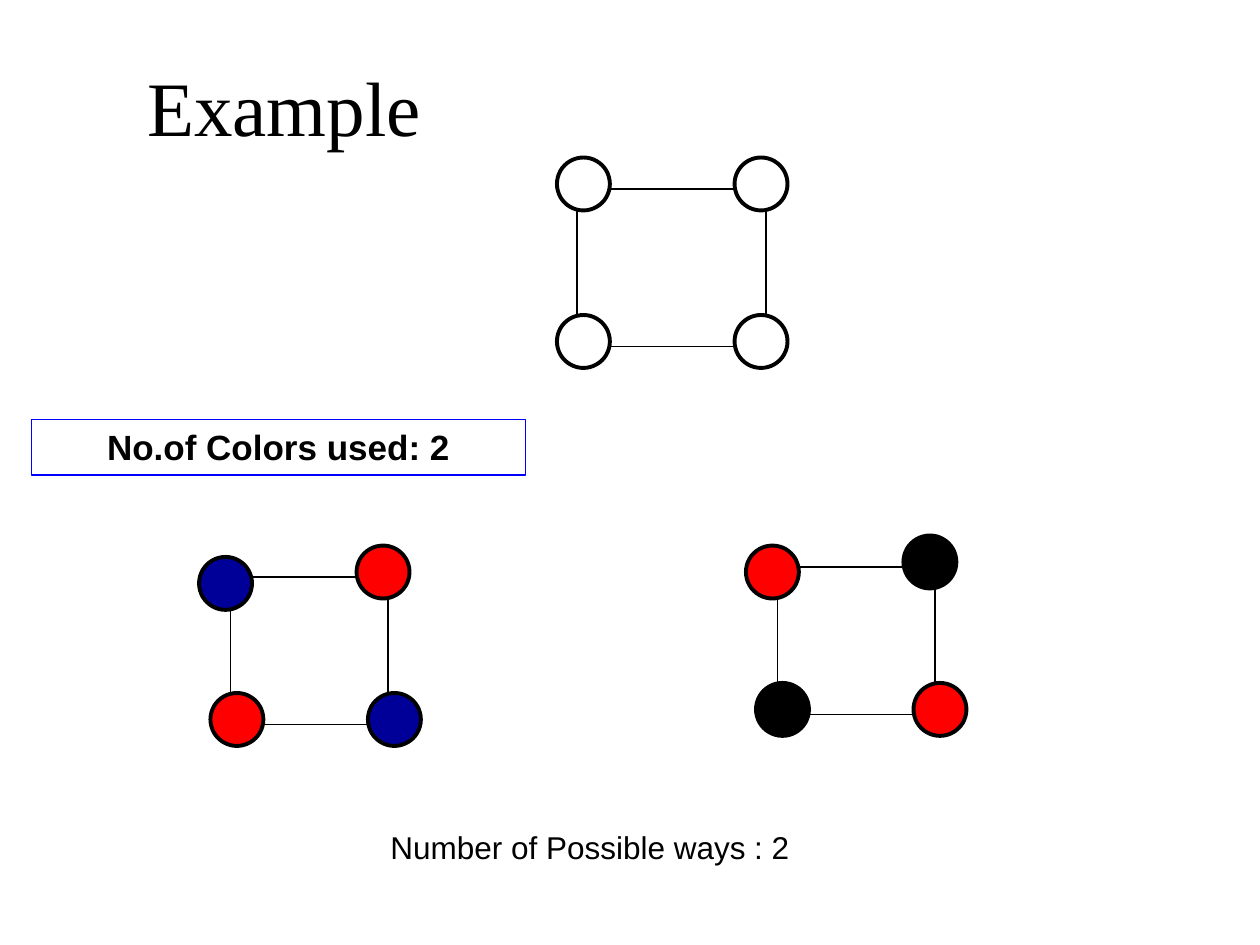
from lxml import etree
from pptx import Presentation
from pptx.dml.color import RGBColor
from pptx.enum.shapes import MSO_CONNECTOR, MSO_SHAPE
from pptx.enum.text import MSO_ANCHOR, MSO_AUTO_SIZE, PP_ALIGN
from pptx.oxml.ns import qn
from pptx.util import Inches, Pt

STRAIGHT = MSO_CONNECTOR.STRAIGHT
OVAL, RECT = MSO_SHAPE.OVAL, MSO_SHAPE.RECTANGLE
MIDDLE, TOP = MSO_ANCHOR.MIDDLE, MSO_ANCHOR.TOP
CENTER, LEFT = PP_ALIGN.CENTER, PP_ALIGN.LEFT
GROW = MSO_AUTO_SIZE.SHAPE_TO_FIT_TEXT
HEX = {"white": "FFFFFF", "black": "000000", "red": "FF0000",
       "navy": "000099", "blue": "0000FF"}
COLOR = {name: RGBColor.from_string(code) for name, code in HEX.items()}
SIZE = 0.42
INSET = 0.25


def write(shape, text, face, size, align, anchor, bold=False):
    frame = shape.text_frame
    frame.text = text
    frame.word_wrap = True
    frame.vertical_anchor = anchor
    para = frame.paragraphs[0]
    para.alignment = align
    font = para.runs[0].font
    font.name, font.size, font.bold = face, Pt(size), bold
    font.color.rgb = COLOR["black"]


prs = Presentation()
prs.slide_width, prs.slide_height = Inches(10), Inches(7.5)
slide = prs.slides.add_slide(prs.slide_layouts[5])

title = slide.shapes.title
title.left, title.top = Inches(-1.58), Inches(0)
title.width, title.height = Inches(7.67), Inches(1.67)
write(title, "Example", "Times New Roman", 44, CENTER, MIDDLE)

# Corners run clockwise from top left; the last value is the left edge's x.
graphs = [
    ([(4.42, 1.25), (5.83, 1.25), (5.83, 2.5), (4.42, 2.5)],
     ["white", "white"], 4.58),
    ([(1.58, 4.42), (2.83, 4.33), (2.92, 5.5), (1.67, 5.5)],
     ["navy", "red"], 1.83),
    ([(5.92, 4.33), (7.17, 4.25), (7.25, 5.42), (6, 5.42)],
     ["red", "black"], 6.17),
]
for nodes, fills, side in graphs:
    group = slide.shapes.add_group_shape()
    for i, (x, y) in enumerate(nodes):
        node = group.shapes.add_shape(
            OVAL, Inches(x), Inches(y), Inches(SIZE), Inches(SIZE))
        node.shadow.inherit = False
        node.fill.solid()
        node.fill.fore_color.rgb = COLOR[fills[i % 2]]
        node.line.color.rgb = COLOR["black"]
        node.line.width = Pt(2.25)

    (ax, ay), (bx, by), (cx, cy), (dx, dy) = nodes
    top, right, base = by + INSET, bx + INSET, dy + INSET
    edges = [(ax + SIZE, top, bx, top), (right, by + SIZE, right, cy),
             (dx + SIZE, base, cx, base), (side, ay + SIZE, side, dy)]
    for ends in edges:
        edge = group.shapes.add_connector(STRAIGHT, *map(Inches, ends))
        edge.line.color.rgb = COLOR["black"]
        edge.line.width = Pt(0.75)
        etree.SubElement(edge._element.spPr, qn("a:effectLst"))

box = slide.shapes.add_shape(
    RECT, Inches(0.25), Inches(3.33), Inches(3.92), Inches(0.44))
box.shadow.inherit = False
box.fill.background()
box.line.color.rgb = COLOR["blue"]
box.line.width = Pt(1)
write(box, "No.of Colors used: 2", "Arial", 20, CENTER, TOP, True)
box.text_frame.auto_size = GROW

note = slide.shapes.add_textbox(
    Inches(3), Inches(6.52), Inches(3.42), Inches(0.4))
write(note, "Number of Possible ways : 2", "Arial", 18, LEFT, TOP)
note.text_frame.auto_size = GROW

prs.save("out.pptx")
